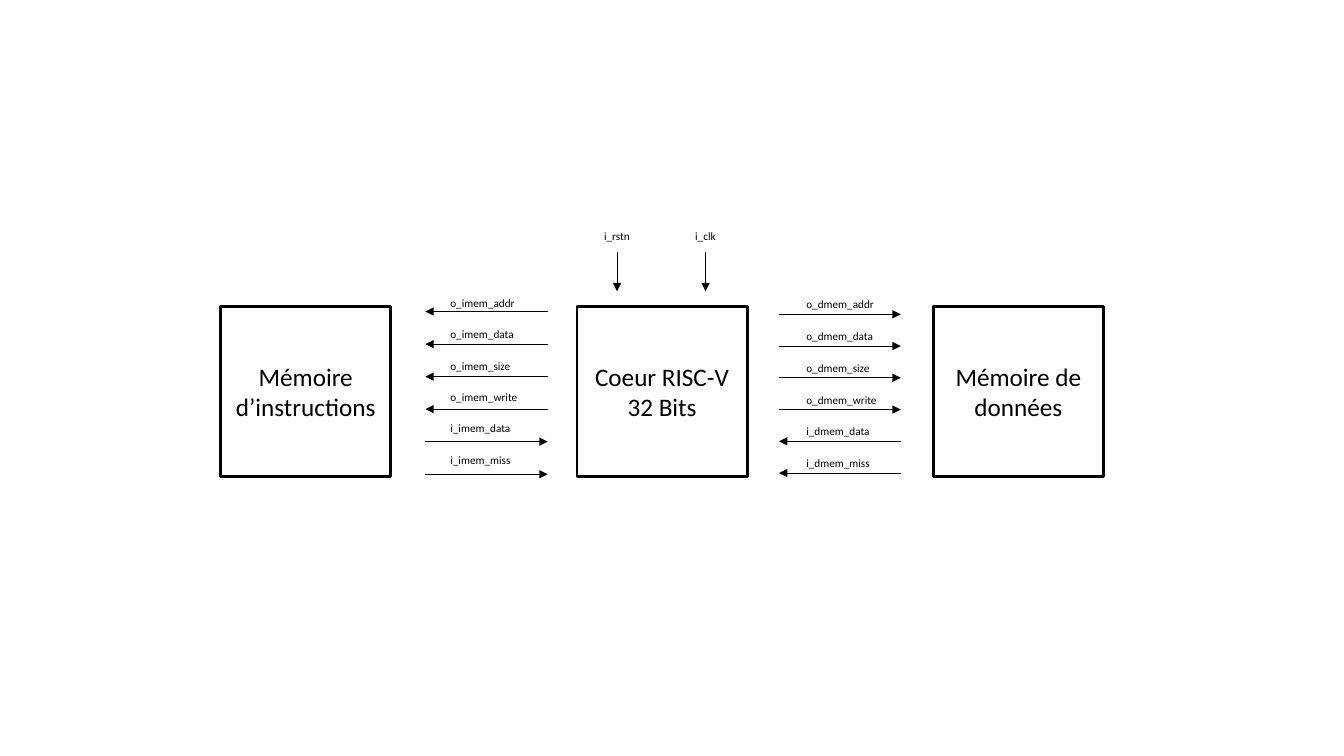
from lxml.etree import SubElement
from pptx import Presentation
from pptx.dml.color import RGBColor
from pptx.enum.shapes import MSO_CONNECTOR, MSO_SHAPE
from pptx.enum.text import MSO_ANCHOR, PP_ALIGN
from pptx.oxml.ns import qn
from pptx.util import Cm, Pt

BLACK = "000000"
FONT = "Calibri"

blocks = ["Mémoire d’instructions", "Coeur RISC-V 32 Bits", "Mémoire de données"]
block_left, block_top, block_size, block_step = 5.56, 7.72, 4.29, 8.98

buses = [
    {
        "outputs": ["o_imem_addr", "o_imem_data", "o_imem_size", "o_imem_write"],
        "inputs": ["i_imem_data", "i_imem_miss"],
        "core_x": 13.8, "memory_x": 10.72, "arrow_top": 7.85, "arrow_step": 0.82,
        "label_left": 11.1, "label_top": 7.34, "label_step": 0.79,
    },
    {
        "outputs": ["o_dmem_addr", "o_dmem_data", "o_dmem_size", "o_dmem_write"],
        "inputs": ["i_dmem_data", "i_dmem_miss"],
        "core_x": 19.63, "memory_x": 22.7, "arrow_top": 7.92, "arrow_step": 0.8,
        "label_left": 20.07, "label_top": 7.38, "label_step": 0.8,
    },
]

controls = [("i_rstn", 15.55), ("i_clk", 17.78)]
control_label_top, control_arrow_top, control_arrow_bottom = 5.66, 6.35, 7.34
label_width, label_height = 2.4, 0.6


def color(value):
    return RGBColor.from_string(value)


def write(shape, text, size, alignment):
    shape.text_frame.word_wrap = True
    paragraph = shape.text_frame.paragraphs[0]
    paragraph.alignment = alignment
    run = paragraph.add_run()
    run.text = text
    run.font.name = FONT
    run.font.size = Pt(size)
    run.font.color.rgb = color(BLACK)


def add_block(text, left):
    shape = slide.shapes.add_shape(
        MSO_SHAPE.RECTANGLE, Cm(left), Cm(block_top), Cm(block_size), Cm(block_size))
    shape.shadow.inherit = False
    shape.fill.background()
    shape.line.color.rgb = color(BLACK)
    shape.line.width = Pt(2)
    shape.text_frame.vertical_anchor = MSO_ANCHOR.MIDDLE
    write(shape, text, 18, PP_ALIGN.CENTER)


def add_label(text, left, top, alignment=PP_ALIGN.LEFT):
    label = slide.shapes.add_textbox(Cm(left), Cm(top), Cm(label_width), Cm(label_height))
    write(label, text, 8, alignment)


def add_arrow(start_x, start_y, end_x, end_y):
    arrow = slide.shapes.add_connector(
        MSO_CONNECTOR.STRAIGHT, Cm(start_x), Cm(start_y), Cm(end_x), Cm(end_y))
    arrow.line.color.rgb = color(BLACK)
    arrow.line.width = Pt(0.5)
    SubElement(arrow.line._get_or_add_ln(), qn("a:tailEnd"), type="triangle")
    SubElement(arrow._element.spPr, qn("a:effectLst"))


presentation = Presentation()
presentation.slide_width = Cm(33.87)
presentation.slide_height = Cm(19.05)
slide = presentation.slides.add_slide(presentation.slide_layouts[6])

for index, text in enumerate(blocks):
    add_block(text, block_left + index * block_step)

for bus in buses:
    for row, signal in enumerate(bus["outputs"] + bus["inputs"]):
        add_label(signal, bus["label_left"], bus["label_top"] + row * bus["label_step"])
        start_x, end_x = bus["core_x"], bus["memory_x"]
        if signal in bus["inputs"]:
            start_x, end_x = end_x, start_x
        y = bus["arrow_top"] + row * bus["arrow_step"]
        add_arrow(start_x, y, end_x, y)

for signal, x in controls:
    add_label(signal, x - label_width / 2, control_label_top, PP_ALIGN.CENTER)
    add_arrow(x, control_arrow_top, x, control_arrow_bottom)

presentation.save("out.pptx")
